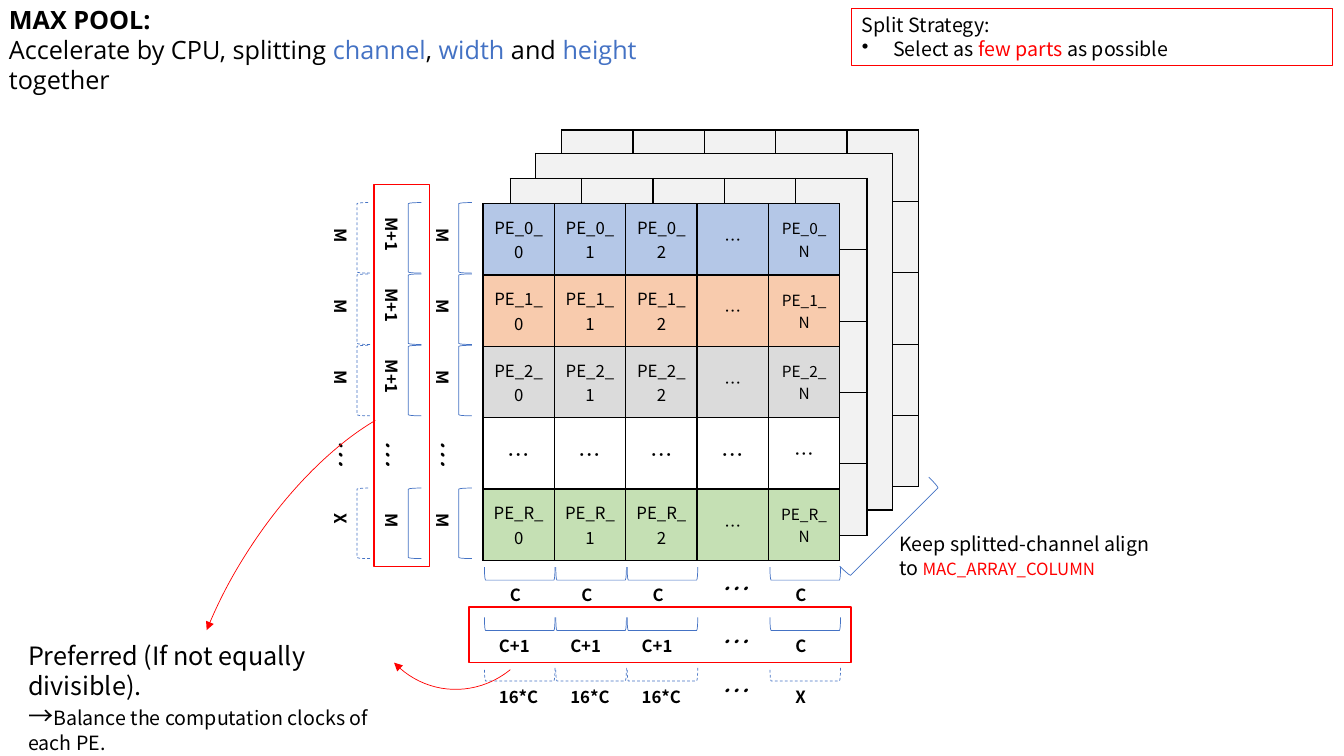
from dataclasses import dataclass

from lxml import etree
from pptx import Presentation
from pptx.dml.color import RGBColor
from pptx.enum.dml import MSO_LINE
from pptx.enum.shapes import MSO_SHAPE
from pptx.enum.text import MSO_ANCHOR, PP_ALIGN
from pptx.oxml.ns import qn
from pptx.util import Inches, Pt

CENTER, LEFT, MIDDLE = PP_ALIGN.CENTER, PP_ALIGN.LEFT, MSO_ANCHOR.MIDDLE
RECTANGLE, ARC = MSO_SHAPE.RECTANGLE, MSO_SHAPE.ARC
LEFT_BRACKET, RIGHT_BRACKET = MSO_SHAPE.LEFT_BRACKET, MSO_SHAPE.RIGHT_BRACKET
DASH = MSO_LINE.DASH


@dataclass(frozen=True)
class Theme:
    font: str = "Noto Sans CJK SC"
    title_font: str = "Open Sans"
    ink: str = "000000"
    blue: str = "4472C4"
    red: str = "FF0000"
    layer: str = "F2F2F2"
    title: int = 18
    body: int = 14
    label: int = 12
    last_column: int = 11
    dots: int = 20


THEME = Theme()

# Front grid: row name, fill, size, size in the last column
GRID_ROWS = [
    ("0", "B4C7E7", THEME.label, THEME.last_column),
    ("1", "F8CBAD", THEME.label, THEME.last_column),
    ("2", "DBDBDB", THEME.label, THEME.last_column),
    ("…", "FFFFFF", 16, 14),
    ("R", "C5E0B4", THEME.label, THEME.last_column),
]
GRID_COLUMNS = ["0", "1", "2", "…", "N"]

# Layers behind the grid: left, top, whether inner lines show
BACK_LAYERS = [(5.57, 1.29, True), (5.31, 1.52, False), (5.06, 1.77, True)]

# Splits: labels, bracket offset, label offset, dots offset, dashed
CHANNEL_SPLITS = [
    (["C", "C", "C", "…", "C"], 5.34, 5.75, 5.62, False),
    (["C+1", "C+1", "C+1", "…", "C"], 5.84, 6.26, 6.15, False),
    (["16*C", "16*C", "16*C", "…", "X"], 6.34, 6.76, 6.63, True),
]
HEIGHT_SPLITS = [
    (["M", "M", "M", "…", "M"], 4.55, 4.08, 4.08, False),
    (["M+1", "M+1", "M+1", "…", "M"], 4.05, 3.57, 3.54, False),
    (["M", "M", "M", "…", "X"], 3.54, 3.07, 3.07, True),
]

# Paragraphs are lists of (text, colour, size)
TITLE = [
    [("MAX POOL:", THEME.ink, THEME.title)],
    [(text, colour, THEME.title) for text, colour in [
        ("Accelerate by CPU, splitting ", THEME.ink), ("channel", THEME.blue),
        (", ", THEME.ink), ("width", THEME.blue), (" and ", THEME.ink),
        ("height", THEME.blue), (" together", THEME.ink)]],
]
STRATEGY = [
    [("Split Strategy:", THEME.ink, THEME.body)],
    [("Select as ", THEME.ink, THEME.body), ("few parts ", THEME.red, THEME.body),
     ("as possible", THEME.ink, THEME.body)],
]
PREFERRED = [
    [("Preferred (If not equally divisible).", THEME.ink, THEME.title)],
    [("→", THEME.ink, THEME.title),
     ("Balance the computation clocks of each PE.", THEME.ink, THEME.body)],
]
ALIGNMENT = [[("Keep splitted-channel align to ", THEME.ink, THEME.body),
              ("MAC_ARRAY_COLUMN", THEME.red, THEME.label)]]

# Frames around the preferred splits
FRAMES = [(3.71, 1.83, 0.55, 3.79), (4.65, 6.02, 3.79, 0.55)]
# Arrows: box, rotation, start and end angle, arrowhead end
ARROWS = [
    ((2.3, 3.66, 2.22, 4.76), 213.1, 318.1, 66.4, "headEnd"),
    ((3.66, 4.99, 1.75, 1.85), 189.8, 224.3, 303.8, "tailEnd"),
]

GRID_SIDE = 3.54
CELL = GRID_SIDE / len(GRID_COLUMNS)
GRID_LEFT, GRID_TOP = 4.79, 2.02


def rgb(colour):
    return RGBColor.from_string(colour)


def add_outline(shapes, kind, box, colour, width, rotation=0, dashed=False):
    shape = shapes.add_shape(kind, *map(Inches, box))
    shape.shadow.inherit = False
    shape.fill.background()
    shape.line.color.rgb = rgb(colour)
    shape.line.width = Pt(width)
    if dashed:
        shape.line.dash_style = DASH
    shape.rotation = rotation
    return shape


def write_paragraphs(frame, paragraphs, font=THEME.font):
    frame.word_wrap = True
    for index, spans in enumerate(paragraphs):
        para = frame.add_paragraph() if index else frame.paragraphs[0]
        para.alignment = LEFT
        para.font.name = font
        for text, colour, size in spans:
            span = para.add_run()
            span.text = text
            span.font.name = font
            span.font.size = Pt(size)
            span.font.color.rgb = rgb(colour)


def add_text(shapes, box, paragraphs, font=THEME.font):
    text_box = shapes.add_textbox(*map(Inches, box))
    write_paragraphs(text_box.text_frame, paragraphs, font)
    return text_box


def set_borders(cell, sides):
    """Draw the given sides (letters of LRTB) in black and clear the others."""
    properties = cell._tc.get_or_add_tcPr()
    for side in "LRTB":
        line = etree.SubElement(properties, qn(f"a:ln{side}"), w=str(Pt(1)))
        if side in sides:
            fill = etree.SubElement(line, qn("a:solidFill"))
            etree.SubElement(fill, qn("a:srgbClr"), val=THEME.ink)
        else:
            etree.SubElement(line, qn("a:noFill"))


def add_grid(page, left, top, fills, inner_lines=True):
    count = len(fills)
    size = Inches(GRID_SIDE)
    table = page.shapes.add_table(count, count, Inches(left), Inches(top), size, size).table
    table.first_row = table.horz_banding = False
    for index in range(count):
        table.columns[index].width = table.rows[index].height = Inches(CELL)
    last = count - 1
    for row, fill in enumerate(fills):
        for column in range(count):
            cell = table.cell(row, column)
            edges = {"L": column == 0, "R": column == last, "T": row == 0, "B": row == last}
            set_borders(cell, [side for side in edges if inner_lines or edges[side]])
            cell.fill.solid()
            cell.fill.fore_color.rgb = rgb(fill)
    return table


def fill_front_grid(table):
    for row, (row_name, _, size, last_size) in enumerate(GRID_ROWS):
        for column, column_name in enumerate(GRID_COLUMNS):
            cell = table.cell(row, column)
            dots = "…" in (row_name, column_name)
            cell.vertical_anchor = MIDDLE
            para = cell.text_frame.paragraphs[0]
            para.text = "…" if dots else f"PE_{row_name}_{column_name}"
            para.alignment = CENTER
            para.font.name = THEME.font
            para.font.size = Pt(last_size if column_name == "N" else size)
            para.font.color.rgb = rgb(THEME.ink)


def add_label(shapes, text, left, top, rotation):
    dots = text == "…"
    size = THEME.dots if dots else THEME.label
    box = add_text(shapes, (left, top, 0.63, 0.44 if dots else 0.3), [[(text, THEME.ink, size)]])
    box.rotation = rotation
    para = box.text_frame.paragraphs[0]
    para.runs[0].font.bold = not dots
    para.runs[0].font.italic = dots
    if len(text) == 1:
        para._p.get_or_add_pPr().set("marL", str(Inches(0.06 if dots else 0.11)))


def add_split(shapes, split, vertical):
    """Add one line of brackets and labels, below or left of the grid."""
    labels, bracket_at, label_at, dots_at, dashed = split
    for index, text in enumerate(labels):
        step = index * CELL
        across = dots_at if text == "…" else label_at
        if vertical:
            bracket = (bracket_at, 2.01 + step)
            label = (across, (2.15 if text == "…" else 2.22) + step)
        else:
            bracket = (5.09 + step, bracket_at)
            label = (4.85 + step, across)
        if text != "…":
            add_outline(shapes, LEFT_BRACKET, (*bracket, 0.13, 0.7), THEME.blue, 0.5,
                        0 if vertical else 270, dashed)
        add_label(shapes, text, *label, 90 if vertical else 0)


def main():
    deck = Presentation()
    deck.slide_width, deck.slide_height = Inches(13.33), Inches(7.5)
    page = deck.slides.add_slide(deck.slide_layouts[6])
    shapes = page.shapes

    for left, top, inner_lines in BACK_LAYERS:
        add_grid(page, left, top, [THEME.layer] * len(GRID_ROWS), inner_lines)
    for split in CHANNEL_SPLITS:
        add_split(shapes, split, vertical=False)
    fill_front_grid(add_grid(page, GRID_LEFT, GRID_TOP, [row[1] for row in GRID_ROWS]))
    for split in HEIGHT_SPLITS:
        add_split(shapes.add_group_shape().shapes, split, vertical=True)

    strategy = add_outline(shapes, RECTANGLE, (8.45, 0.08, 4.77, 0.57), THEME.red, 0.75)
    strategy.text_frame.vertical_anchor = MIDDLE
    write_paragraphs(strategy.text_frame, STRATEGY)
    bullet = strategy.text_frame.paragraphs[1]._p.get_or_add_pPr()
    bullet.set("marL", str(Inches(0.31)))
    bullet.set("indent", str(Inches(-0.31)))
    bullet.insert(0, bullet.makeelement(qn("a:buChar"), {"char": "•"}))

    title = add_text(shapes, (-0.01, -0.01, 7.34, 0.71), TITLE, THEME.title_font)
    title.text_frame.paragraphs[0].runs[0].font.bold = True
    add_text(shapes, (0.18, 6.3, 3.88, 0.94), PREFERRED)
    for box, rotation, start, end, arrowhead in ARROWS:
        arrow = add_outline(shapes, ARC, box, THEME.red, 0.5, rotation)
        for index, angle in enumerate((start, end)):
            arrow.adjustments[index] = angle * 0.6  # 60000 units a degree, in 100000ths
        etree.SubElement(arrow.line._get_or_add_ln(), qn(f"a:{arrowhead}"), type="triangle")
    for box in FRAMES:
        add_outline(shapes, RECTANGLE, box, THEME.red, 1)
    add_outline(shapes, RIGHT_BRACKET, (8.75, 4.6, 0.14, 1.25), THEME.blue, 0.5, 45)
    add_text(shapes, (8.82, 5.23, 2.77, 0.54), ALIGNMENT)
    deck.save("out.pptx")


if __name__ == "__main__":
    main()
